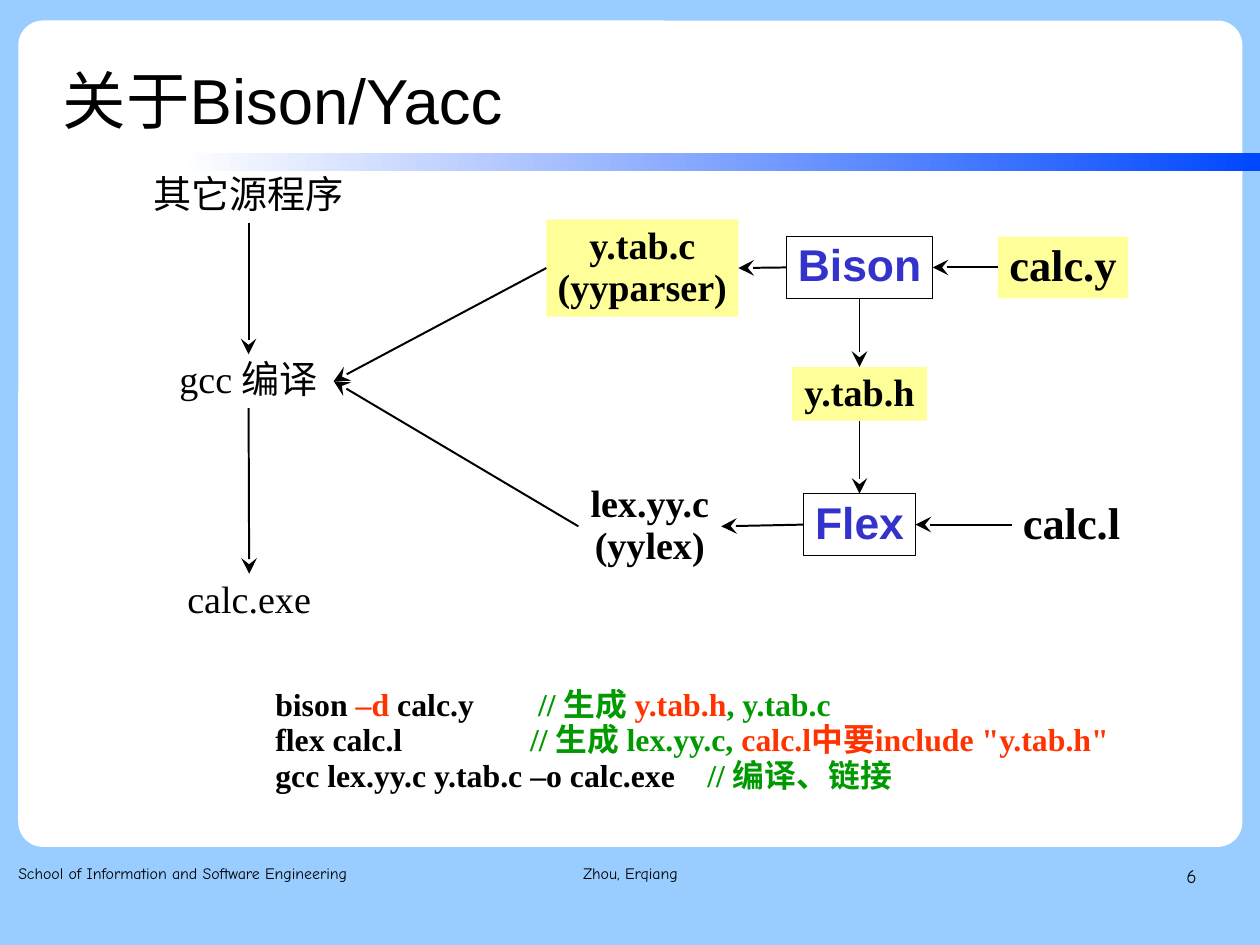
from lxml.etree import SubElement
from pptx import Presentation
from pptx.dml.color import RGBColor
from pptx.enum.shapes import MSO_CONNECTOR, MSO_SHAPE
from pptx.enum.text import MSO_ANCHOR, MSO_AUTO_SIZE, PP_ALIGN
from pptx.oxml.ns import qn
from pptx.util import Cm, Inches, Pt

BLACK = RGBColor(0, 0, 0)
WHITE = RGBColor(0xFF, 0xFF, 0xFF)
SKY = RGBColor(0x99, 0xCC, 0xFF)
BLUE = RGBColor(0, 0x47, 0xFF)
INDIGO = RGBColor(0x33, 0x33, 0xCC)
YELLOW = RGBColor(0xFF, 0xFF, 0x99)
RED = RGBColor(0xFF, 0x33, 0)
GREEN = RGBColor(0, 0x99, 0)

SERIF, SANS, COMIC = "Times New Roman", "Arial", "Comic Neue"
LEFT, CENTER, RIGHT = PP_ALIGN.LEFT, PP_ALIGN.CENTER, PP_ALIGN.RIGHT

# text, position, size, font, alignment, line spacing, anchor
FRAME_TEXTS = [
    ("关于Bison/Yacc", (0.55, 0.33, 8.58, 1.01), 40, SANS, LEFT, 1.1, MSO_ANCHOR.MIDDLE),
    ("School of Information and Software Engineering",
     (0.16, 7.53, 3.38, 0.57), 10, COMIC, LEFT, 1.16, MSO_ANCHOR.TOP),
    ("Zhou, Erqiang", (3.77, 7.53, 3.49, 0.57), 10, COMIC, CENTER, 1.16, MSO_ANCHOR.TOP),
    ("6", (7.9, 7.53, 2.57, 0.57), 12, COMIC, RIGHT, 1.16, MSO_ANCHOR.TOP),
]

# kind: size, font, bold, colour, fill, outlined
KINDS = {
    "step": (24, SERIF, False, BLACK, None, False),
    "output": (24, SERIF, True, BLACK, None, False),
    "parser output": (24, SERIF, True, BLACK, YELLOW, False),
    "input": (28, SERIF, True, BLACK, None, False),
    "grammar": (28, SERIF, True, BLACK, YELLOW, False),
    "tool": (28, SANS, True, INDIGO, None, True),
}
# name: kind, lines, position
NODES = {
    "sources": ("step", ["其它源程序"], (1.24, 1.48, 1.87, 0.47)),
    "gcc": ("step", ["gcc 编译"], (1.43, 3.1, 1.49, 0.47)),
    "exe": ("step", ["calc.exe"], (1.54, 5.02, 1.28, 0.47)),
    "tab.c": ("parser output", ["y.tab.c", "(yyparser)"], (4.78, 1.92, 1.68, 0.85)),
    "lex.c": ("output", ["lex.yy.c", "(yylex)"], (5.06, 4.18, 1.25, 0.85)),
    "tab.h": ("parser output", ["y.tab.h"], (6.93, 3.21, 1.18, 0.47)),
    "bison": ("tool", ["Bison"], (6.88, 2.07, 1.28, 0.54)),
    "flex": ("tool", ["Flex"], (7.03, 4.32, 0.98, 0.54)),
    "calc.y": ("grammar", ["calc.y"], (8.73, 2.07, 1.14, 0.54)),
    "calc.l": ("input", ["calc.l"], (8.85, 4.32, 1.05, 0.54)),
}
DOWNWARD = [("sources", "gcc"), ("gcc", "exe"), ("bison", "tab.h"), ("tab.h", "flex")]
LEFTWARD = [("calc.y", "bison"), ("calc.l", "flex"), ("bison", "tab.c"),
            ("flex", "lex.c"), ("tab.c", "gcc"), ("lex.c", "gcc")]
TOP_SITE, LEFT_SITE, BOTTOM_SITE, RIGHT_SITE = range(4)

# tab stop of the remark, coloured pieces
COMMANDS = [
    (2.3, [("bison", BLACK), (" –d", RED), (" calc.y\t", BLACK),
           ("// 生成 ", GREEN), ("y.tab.h", RED), (", y.tab.c", GREEN)]),
    (2.23, [("flex calc.l\t", BLACK), ("// 生成 lex.yy.c, ", GREEN),
            ('calc.l中要include "y.tab.h"', RED)]),
    (3.78, [("gcc lex.yy.c y.tab.c –o calc.exe\t", BLACK), ("// 编译、链接", GREEN)]),
]
COMMANDS_AT = (2.31, 5.97, 7.79, 1.03)

prs = Presentation()
prs.slide_width, prs.slide_height = Cm(28), Cm(21)
slide = prs.slides.add_slide(prs.slide_layouts[6])
slide.background.fill.solid()
slide.background.fill.fore_color.rgb = SKY


def inches(position):
    return [Inches(length) for length in position]


def add_panel(preset, position):
    panel = slide.shapes.add_shape(preset, *inches(position))
    panel.shadow.inherit = False
    panel.line.fill.background()
    return panel


def add_text_frame(position, wrap, margins=(0.1, 0.05)):
    box = slide.shapes.add_textbox(*inches(position))
    frame = box.text_frame
    frame.word_wrap = wrap
    frame.margin_left = frame.margin_right = Inches(margins[0])
    frame.margin_top = frame.margin_bottom = Inches(margins[1])
    return box, frame


def style(paragraph, size, font, bold, align, spacing):
    paragraph.alignment = align
    paragraph.line_spacing = spacing
    paragraph.font.size = Pt(size)
    paragraph.font.name = font
    paragraph.font.bold = bold


def add_node(kind, lines, position):
    size, font, bold, color, fill, outlined = KINDS[kind]
    box, frame = add_text_frame(position, wrap=False)
    frame.auto_size = MSO_AUTO_SIZE.SHAPE_TO_FIT_TEXT
    if fill is not None:
        box.fill.solid()
        box.fill.fore_color.rgb = fill
    if outlined:
        box.line.color.rgb = BLACK
        box.line.width = Pt(0.75)
    frame.text = "\n".join(lines)
    for paragraph in frame.paragraphs:
        style(paragraph, size, font, bold, CENTER, 0.93)
        paragraph.font.color.rgb = color
    return box


def add_arrow(start, start_site, end, end_site):
    arrow = slide.shapes.add_connector(MSO_CONNECTOR.STRAIGHT, 0, 0, 0, 0)
    arrow.begin_connect(start, start_site)
    arrow.end_connect(end, end_site)
    arrow.line.color.rgb = BLACK
    arrow.line.width = Pt(1.25)
    SubElement(arrow.line._get_or_add_ln(), qn("a:tailEnd"),
               type="stealth", w="lg", len="lg")
    SubElement(arrow._element.spPr, qn("a:effectLst"))


def add_tab_stop(paragraph, position):
    properties = paragraph._p.get_or_add_pPr()
    stops = SubElement(properties, qn("a:tabLst"))
    SubElement(stops, qn("a:tab"), pos=str(Inches(position)), algn="l")
    properties.find(qn("a:defRPr")).addprevious(stops)


page = add_panel(MSO_SHAPE.ROUNDED_RECTANGLE, (0.16, 0.18, 10.71, 7.23))
page.adjustments[0] = 0.03
page.fill.solid()
page.fill.fore_color.rgb = WHITE

title_bar = add_panel(MSO_SHAPE.RECTANGLE, (1.57, 1.34, 9.45, 0.16))
title_bar.fill.gradient()
title_bar.fill.gradient_angle = 0
for stop, color in zip(title_bar.fill.gradient_stops, (WHITE, BLUE)):
    stop.color.rgb = color

for text, position, size, font, align, spacing, anchor in FRAME_TEXTS:
    _, frame = add_text_frame(position, wrap=True, margins=(0, 0))
    frame.vertical_anchor = anchor
    frame.text = text
    style(frame.paragraphs[0], size, font, False, align, spacing)
    frame.paragraphs[0].font.color.rgb = BLACK

nodes = {name: add_node(*node) for name, node in NODES.items()}
for start, end in DOWNWARD:
    add_arrow(nodes[start], BOTTOM_SITE, nodes[end], TOP_SITE)
for start, end in LEFTWARD:
    add_arrow(nodes[start], LEFT_SITE, nodes[end], RIGHT_SITE)

_, commands = add_text_frame(COMMANDS_AT, wrap=True)
for index, (remark_stop, pieces) in enumerate(COMMANDS):
    line = commands.add_paragraph() if index else commands.paragraphs[0]
    style(line, 20, SERIF, True, LEFT, 0.93)
    add_tab_stop(line, remark_stop)
    for text, color in pieces:
        run = line.add_run()
        run.text = text
        run.font.color.rgb = color

prs.save("out.pptx")
